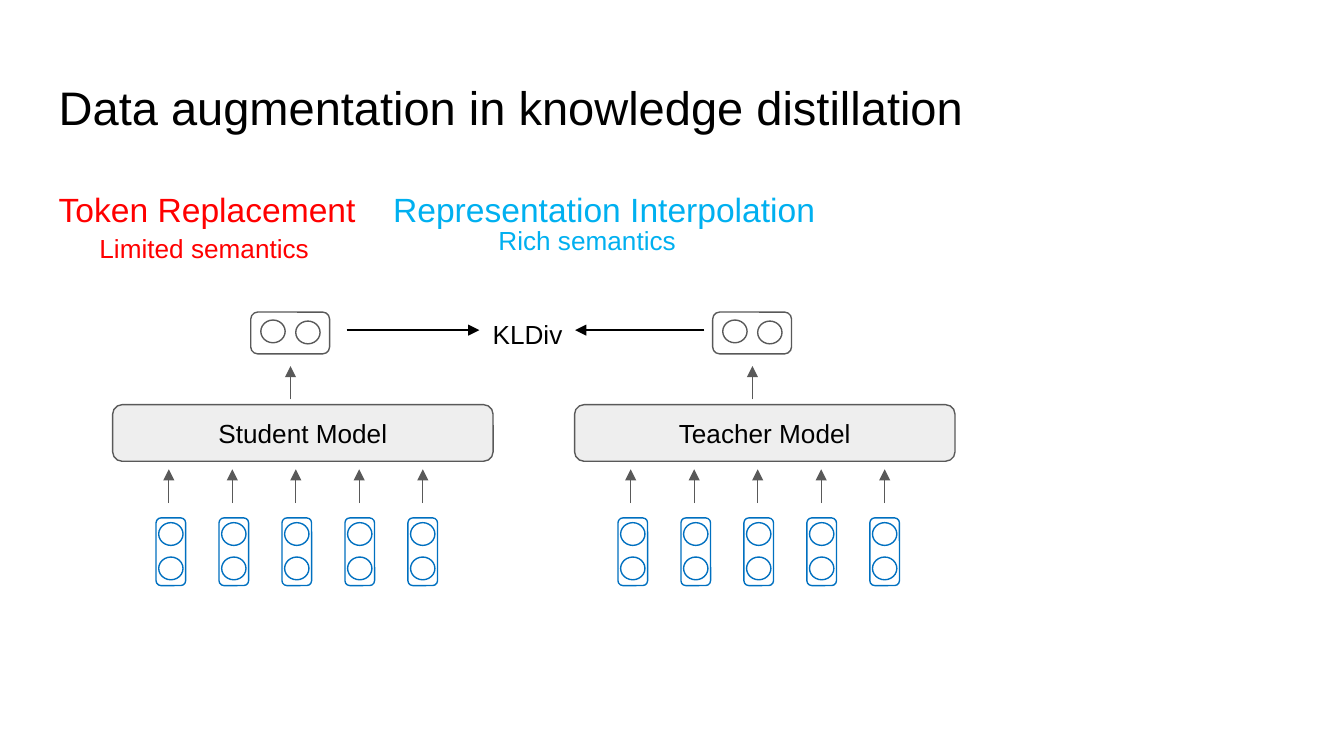
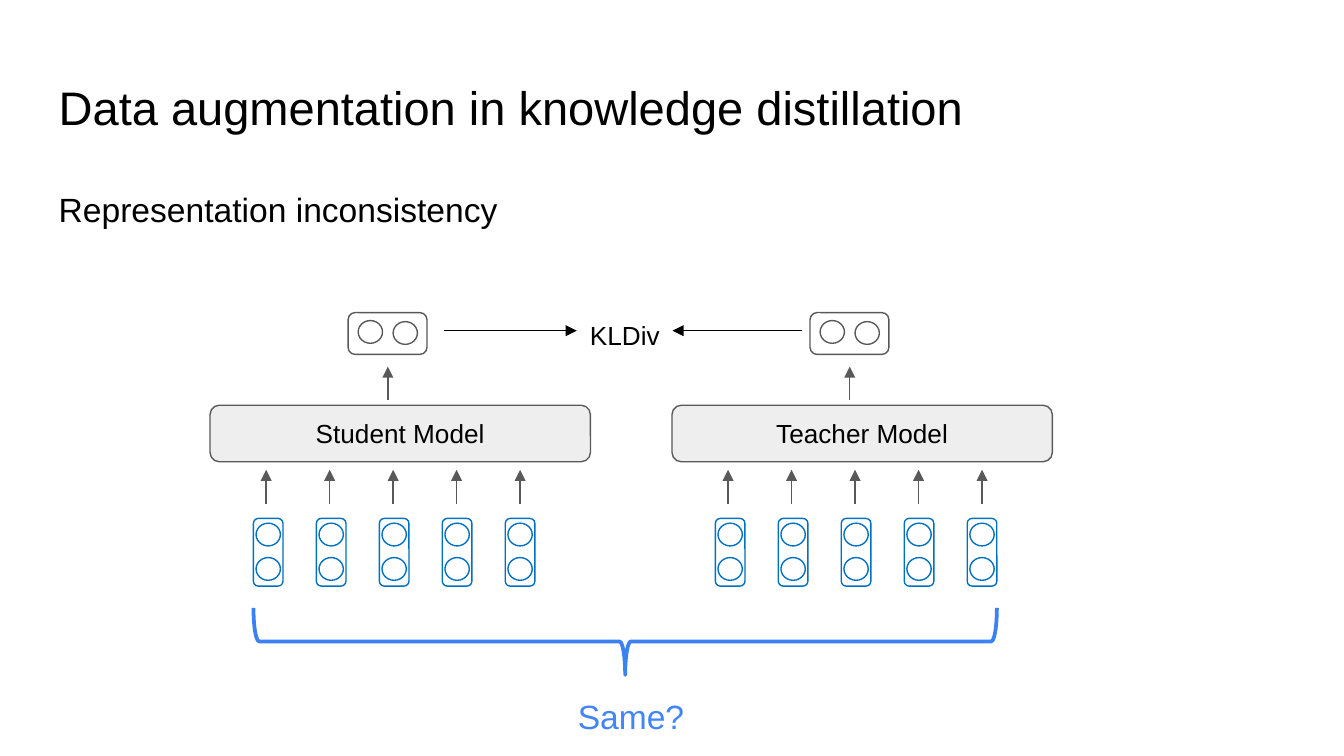
"""Build two slides on data augmentation in knowledge distillation."""
from lxml.etree import SubElement
from pptx import Presentation
from pptx.dml.color import RGBColor
from pptx.enum.shapes import MSO_AUTO_SHAPE_TYPE as ShapeType, MSO_CONNECTOR as ConnectorType
from pptx.enum.text import MSO_ANCHOR as Anchor, PP_ALIGN as Align
from pptx.oxml.ns import qn
from pptx.util import Cm, Pt

FONT = "Arial"
BLACK, RED, CYAN, BLUE = "000000", "FF0000", "00B0F0", "4285F4"
TOKEN_BLUE, BRACE_BLUE, GRAY, PALE_GRAY = "0070C0", "3C81F3", "595959", "EEEEEE"
TITLE = "Data augmentation in knowledge distillation"
MARGIN, CONTENT_WIDTH, BODY_TOP = 0.86, 23.67, 3.2
INSETS = {f"margin_{side}": Cm(0.25) for side in ("left", "right", "top", "bottom")}
BODY_SPACING = {"line_spacing": 1.15, "space_after": Pt(12)}
TOKEN_COUNT = 5
TEACHER_OFFSET = 8.73
CIRCLE_WIDTH, CIRCLE_HEIGHT = 0.46, 0.43


def color(value):
    """Turn a hex string into a colour."""
    return RGBColor.from_string(value)


def apply_format(target, values):
    """Set each attribute of the target from a dict."""
    for name, value in values.items():
        setattr(target, name, value)


def write_runs(paragraph, runs, size):
    """Add runs given as pairs of text and colour."""
    for text, hue in runs:
        run = paragraph.add_run()
        run.text = text
        apply_format(run.font, {"name": FONT, "size": Pt(size)})
        run.font.color.rgb = color(hue)


def add_text(slide, box, runs, size, wrap=True, frame_format=None, spacing=None):
    """Add a text box with one paragraph and return the paragraph."""
    frame = slide.shapes.add_textbox(*map(Cm, box)).text_frame
    apply_format(frame, {"word_wrap": wrap, **(frame_format or {})})
    paragraph = frame.paragraphs[0]
    apply_format(paragraph, spacing or {})
    write_runs(paragraph, runs, size)
    return paragraph


def add_outline(slide, kind, box, hue, fill=None, width=0.75):
    """Add a preset shape with a thin line and an optional fill."""
    shape = slide.shapes.add_shape(kind, *map(Cm, box))
    shape.shadow.inherit = False
    shape.line.color.rgb = color(hue)
    shape.line.width = Pt(width)
    if fill:
        shape.fill.solid()
        shape.fill.fore_color.rgb = color(fill)
    else:
        shape.fill.background()
    return shape


def add_arrow(slide, start, end, hue):
    """Draw a straight arrow between two points."""
    connector = slide.shapes.add_connector(ConnectorType.STRAIGHT, *map(Cm, (*start, *end)))
    connector.line.color.rgb = color(hue)
    connector.line.width = Pt(0.75)
    properties = connector.element.spPr
    SubElement(properties.find(qn("a:ln")), qn("a:tailEnd"), type="triangle")
    SubElement(properties, qn("a:effectLst"))


def add_cell(slide, box, circle_offsets, hue):
    """Draw a rounded cell holding circles at offsets from its corner."""
    add_outline(slide, ShapeType.ROUNDED_RECTANGLE, box, hue)
    left, top = box[:2]
    for across, down in circle_offsets:
        circle_box = (left + across, top + down, CIRCLE_WIDTH, CIRCLE_HEIGHT)
        add_outline(slide, ShapeType.OVAL, circle_box, hue)


def add_network(slide, left, top, name):
    """Draw a model with its input tokens below and its output above."""
    for index in range(TOKEN_COUNT):
        token_box = (left + 0.82 + 1.19 * index, top + 3.89, 0.56, 1.28)
        add_cell(slide, token_box, [(0.05, 0.09), (0.05, 0.74)], TOKEN_BLUE)
        arrow_x = left + 1.06 + 1.2 * index
        add_arrow(slide, (arrow_x, top + 3.61), (arrow_x, top + 2.97), GRAY)
    model_box = (left, top + 1.75, 7.19, 1.07)
    model = add_outline(slide, ShapeType.ROUNDED_RECTANGLE, model_box, GRAY, PALE_GRAY)
    apply_format(model.text_frame, {"vertical_anchor": Anchor.MIDDLE, **INSETS})
    paragraph = model.text_frame.paragraphs[0]
    paragraph.alignment = Align.CENTER
    write_runs(paragraph, [(name, BLACK)], 14)
    add_arrow(slide, (left + 3.36, top + 1.65), (left + 3.36, top + 1.02), GRAY)
    add_cell(slide, (left + 2.61, top, 1.49, 0.79), [(0.19, 0.15), (0.85, 0.17)], GRAY)


def add_distillation(slide, left, top):
    """Draw the student and teacher models joined by their divergence."""
    add_network(slide, left, top, "Student Model")
    add_network(slide, left + TEACHER_OFFSET, top, "Teacher Model")
    arrow_y = top + 0.34
    for start, end in ((4.42, 6.93), (11.18, 8.74)):
        add_arrow(slide, (left + start, arrow_y), (left + end, arrow_y), BLACK)
    add_text(slide, (left + 6.93, top, 1.96, 0.86), [("KLDiv", BLACK)], 14)


def add_brace(slide, left, top, width, height):
    """Draw a brace that opens upwards and fills the box."""
    shift = (width - height) / 2
    box = (left + shift, top - shift, height, width)
    brace = add_outline(slide, ShapeType.RIGHT_BRACE, box, BRACE_BLUE, width=2)
    brace.rotation = 90
    brace.adjustments[1] = 0.5


def add_titled_slide(presentation, body_runs, body_height):
    """Add a blank slide with the title and a body line; return slide and body."""
    slide = presentation.slides.add_slide(presentation.slide_layouts[6])
    add_text(slide, (MARGIN, 1.24, CONTENT_WIDTH, 1.6), [(TITLE, BLACK)], 25.2,
             frame_format=INSETS)
    body = add_text(slide, (MARGIN, BODY_TOP, CONTENT_WIDTH, body_height), body_runs, 18,
                    frame_format=INSETS, spacing=BODY_SPACING)
    return slide, body


def build_methods_slide(presentation):
    """Compare token replacement with representation interpolation."""
    runs = [("Token Replacement\t", RED), ("Representation Interpolation", CYAN)]
    slide, body = add_titled_slide(presentation, runs, 10.49)
    tabs = SubElement(body._p.get_or_add_pPr(), qn("a:tabLst"))
    SubElement(tabs, qn("a:tab"), pos=str(Cm(6.32)), algn="l")
    add_distillation(slide, 2.13, 5.9)
    add_text(slide, (1.63, 4.27, 4.5, 0.86), [("Limited semantics", RED)], 14, wrap=False)
    add_text(slide, (9.17, 4.11, 3.89, 0.86), [("Rich semantics", CYAN)], 14, wrap=False)


def build_inconsistency_slide(presentation):
    """Ask whether both models represent the input alike."""
    runs = [("Representation inconsistency", BLACK)]
    slide, _ = add_titled_slide(presentation, runs, 2.21)
    add_distillation(slide, 3.97, 5.91)
    add_brace(slide, 4.79, 11.49, 14.05, 1.27)
    add_text(slide, (10.67, 12.8, 2.87, 2.21), [("Same?", BLUE)], 18,
             frame_format=INSETS, spacing=BODY_SPACING)


def main():
    """Build and save the presentation."""
    presentation = Presentation()
    apply_format(presentation, {"slide_width": Cm(25.4), "slide_height": Cm(14.29)})
    build_methods_slide(presentation)
    build_inconsistency_slide(presentation)
    presentation.save("out.pptx")


if __name__ == "__main__":
    main()
